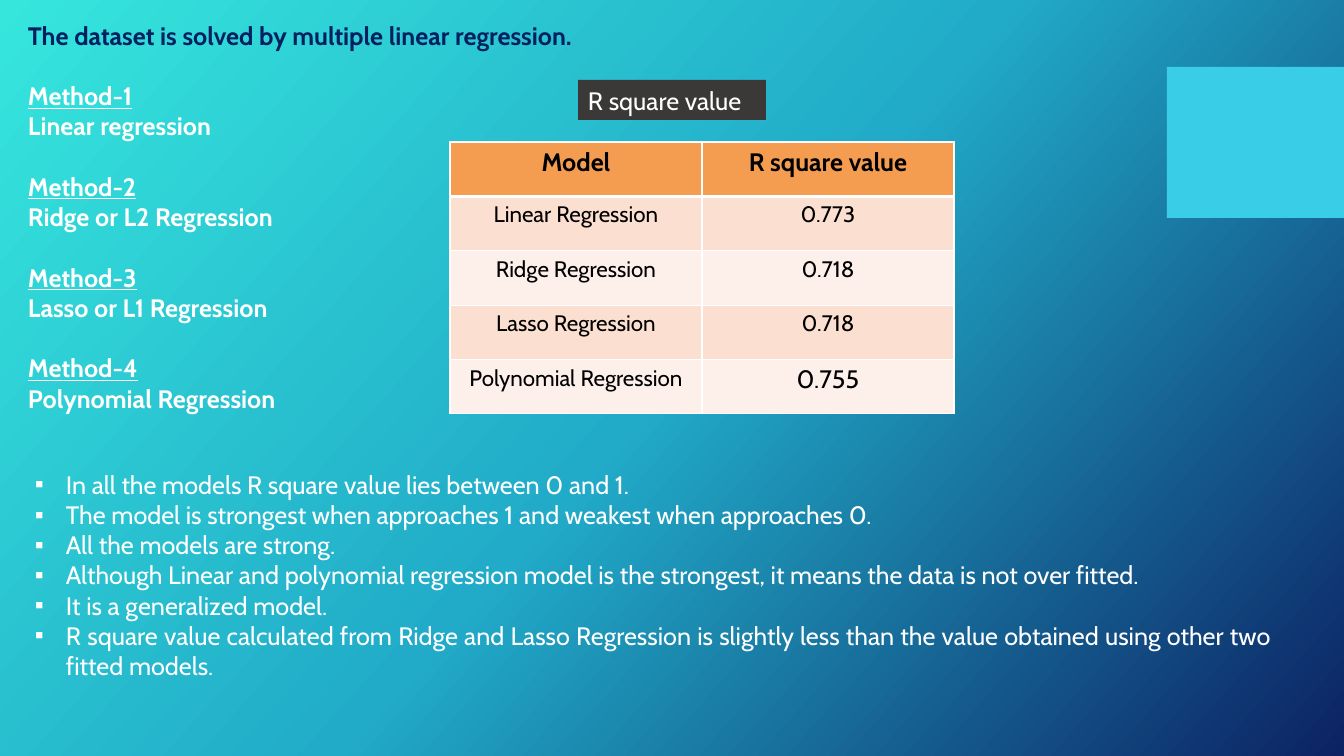
import copy

import lxml.etree
import pptx
import pptx.dml.color
import pptx.enum.shapes
import pptx.enum.text
import pptx.oxml.ns
import pptx.util

RGBColor = pptx.dml.color.RGBColor
ALIGN = pptx.enum.text.PP_ALIGN
qn = pptx.oxml.ns.qn

PX = 914400 / 100.8
FONT = "Cabin"
LINE_HEIGHT = 21.6

WHITE = RGBColor(0xFF, 0xFF, 0xFF)
BLACK = RGBColor(0x00, 0x00, 0x00)
NAVY = RGBColor(0x00, 0x20, 0x60)
CHARCOAL = RGBColor(0x3B, 0x38, 0x38)
SKY = RGBColor(0x39, 0xCD, 0xE7)
ORANGE = RGBColor(0xF4, 0x9D, 0x50)
PEACH = RGBColor(0xFB, 0xDF, 0xD0)
CREAM = RGBColor(0xFD, 0xEF, 0xE9)
BACKGROUND = [
    (0, RGBColor(0x36, 0xE6, 0xDD)),
    (0.5, RGBColor(0x21, 0xAB, 0xC8)),
    (1, RGBColor(0x0C, 0x22, 0x63)),
]

HEADING = "The dataset is solved by multiple linear regression."
METHODS = [
    "Linear regression",
    "Ridge or L2 Regression",
    "Lasso or L1 Regression",
    "Polynomial Regression",
]
SCORES = [
    ("Model", "R square value"),
    ("Linear Regression", "0.773"),
    ("Ridge Regression", "0.718"),
    ("Lasso Regression", "0.718"),
    ("Polynomial Regression", "0.755"),
]
FINDINGS = [
    "In all the models R square value lies between 0 and 1.",
    "The model is strongest when approaches 1 and weakest when approaches 0.",
    "All the models are strong.",
    "Although Linear and polynomial regression model is the strongest, "
    "it means the data is not over fitted.",
    "It is a generalized model.",
    "R square value calculated from Ridge and Lasso Regression is slightly less "
    "than the value obtained using other two fitted models.",
]


def px(length):
    return pptx.util.Emu(round(length * PX))


def place(box):
    return [px(length) for length in box]


def write(paragraph, text, color=WHITE, size=18, bold=False, underline=False):
    run = paragraph.add_run()
    run.text = text
    run.font.name = FONT
    run.font.size = pptx.util.Pt(size)
    run.font.bold = bold
    run.font.underline = underline
    run.font.color.rgb = color


def paragraphs(frame):
    """Yield the frame's first paragraph, then new ones."""
    yield frame.paragraphs[0]
    while True:
        yield frame.add_paragraph()


def add_text_frame(slide, box):
    frame = slide.shapes.add_textbox(*place(box)).text_frame
    frame.word_wrap = True
    return frame


def add_block(slide, box, color):
    block = slide.shapes.add_shape(
        pptx.enum.shapes.MSO_SHAPE.RECTANGLE, *place(box))
    block.shadow.inherit = False
    block.fill.solid()
    block.fill.fore_color.rgb = color
    block.line.fill.background()
    return block


def paint_background(slide):
    fill = slide.background.fill
    fill.gradient()
    fill.gradient_angle = 360 - 42
    first_stop = slide.element.xpath(".//a:gs")[0]
    first_stop.addnext(copy.deepcopy(first_stop))
    for stop, (position, color) in zip(fill.gradient_stops, BACKGROUND):
        stop.position = position
        stop.color.rgb = color


def add_methods(slide, box):
    lines = paragraphs(add_text_frame(slide, box))
    write(next(lines), HEADING, NAVY, bold=True)
    for number, method in enumerate(METHODS, 1):
        title = next(lines)
        title.space_before = pptx.util.Pt(LINE_HEIGHT)
        write(title, f"Method-{number}", bold=True, underline=True)
        write(next(lines), method, bold=True)


def add_table_label(slide, box):
    frame = add_block(slide, box, CHARCOAL).text_frame
    frame.word_wrap = True
    caption = frame.paragraphs[0]
    caption.alignment = ALIGN.LEFT
    write(caption, "R square value")


def set_borders(cell, widths):
    properties = cell._tc.get_or_add_tcPr()
    for index, (side, width) in enumerate(widths.items()):
        line = lxml.etree.Element(
            qn(f"a:ln{side}"), w=str(pptx.util.Pt(width)))
        solid = lxml.etree.SubElement(line, qn("a:solidFill"))
        lxml.etree.SubElement(solid, qn("a:srgbClr"), val=str(WHITE))
        properties.insert(index, line)


def add_scores(slide, box):
    table = slide.shapes.add_table(len(SCORES), 2, *place(box)).table
    for column in table.columns:
        column.width = px(box[2] / 2)
    for row_number, score in enumerate(SCORES):
        table.rows[row_number].height = px(box[3] / len(SCORES))
        header = row_number == 0
        color = ORANGE if header else (CREAM, PEACH)[row_number % 2]
        widths = {"L": 1, "R": 1, "T": 3 if row_number == 1 else 1,
                  "B": 3 if header else 1}
        for column_number, text in enumerate(score):
            cell = table.cell(row_number, column_number)
            cell.fill.solid()
            cell.fill.fore_color.rgb = color
            set_borders(cell, widths)
            entry = cell.text_frame.paragraphs[0]
            entry.alignment = ALIGN.CENTER
            large = header or text == "0.755"
            write(entry, text, BLACK, 18 if large else 16, header)


def add_findings(slide, box):
    lines = paragraphs(add_text_frame(slide, box))
    for finding, line in zip(FINDINGS, lines):
        line.alignment = ALIGN.JUSTIFY
        properties = line._p.get_or_add_pPr()
        properties.set("marL", str(px(31)))
        properties.set("indent", str(-px(31)))
        lxml.etree.SubElement(properties, qn("a:buFont"), typeface="Arial")
        lxml.etree.SubElement(properties, qn("a:buChar"), char="▪")
        write(line, finding)


def build_regression_slide(presentation):
    slide = presentation.slides.add_slide(presentation.slide_layouts[6])
    paint_background(slide)
    # Corner block
    add_block(slide, (1167, 67, 177, 151), SKY)
    # Heading and list of methods
    add_methods(slide, (18, 15, 1127, 437))
    # Score table with its label
    add_table_label(slide, (578, 80, 188, 40))
    add_scores(slide, (450, 142, 504, 272))
    # Findings
    add_findings(slide, (25, 464, 1256, 224))


def main():
    presentation = pptx.Presentation()
    presentation.slide_width = px(1344)
    presentation.slide_height = px(756)
    build_regression_slide(presentation)
    presentation.save("out.pptx")


if __name__ == "__main__":
    main()
